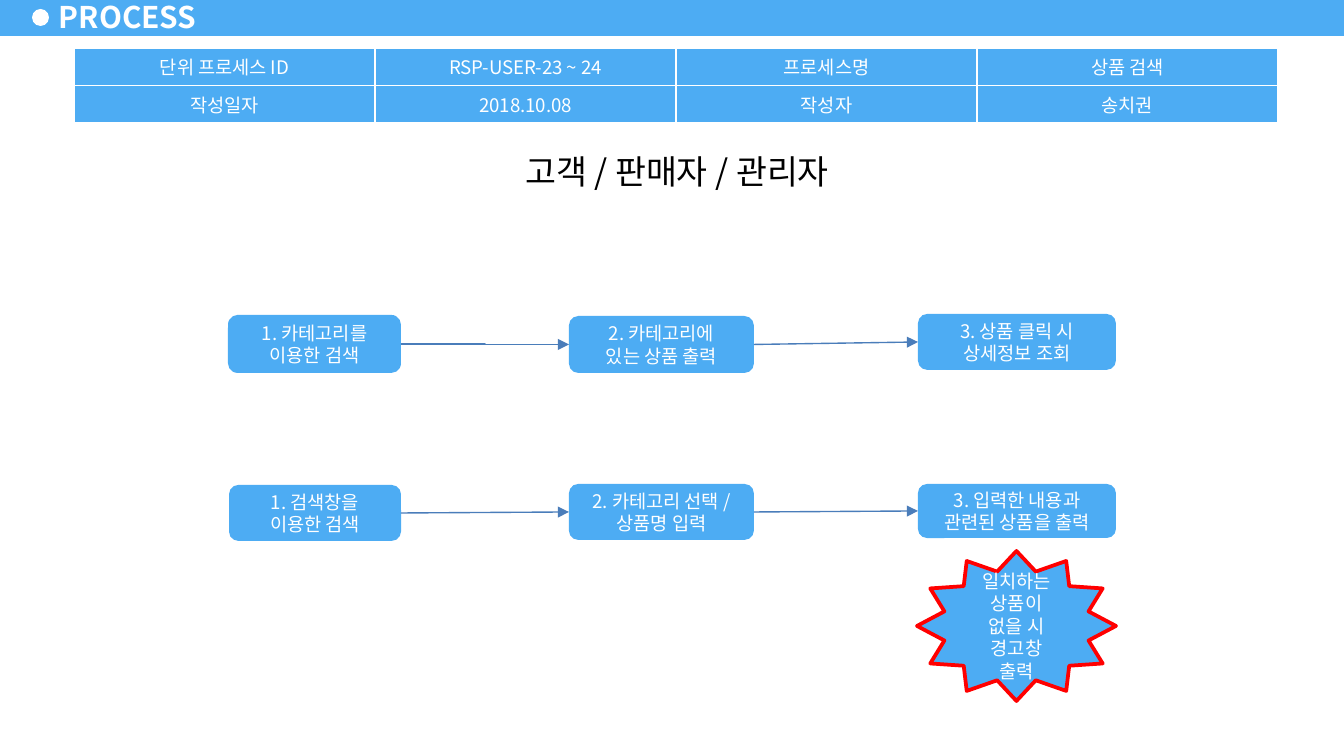
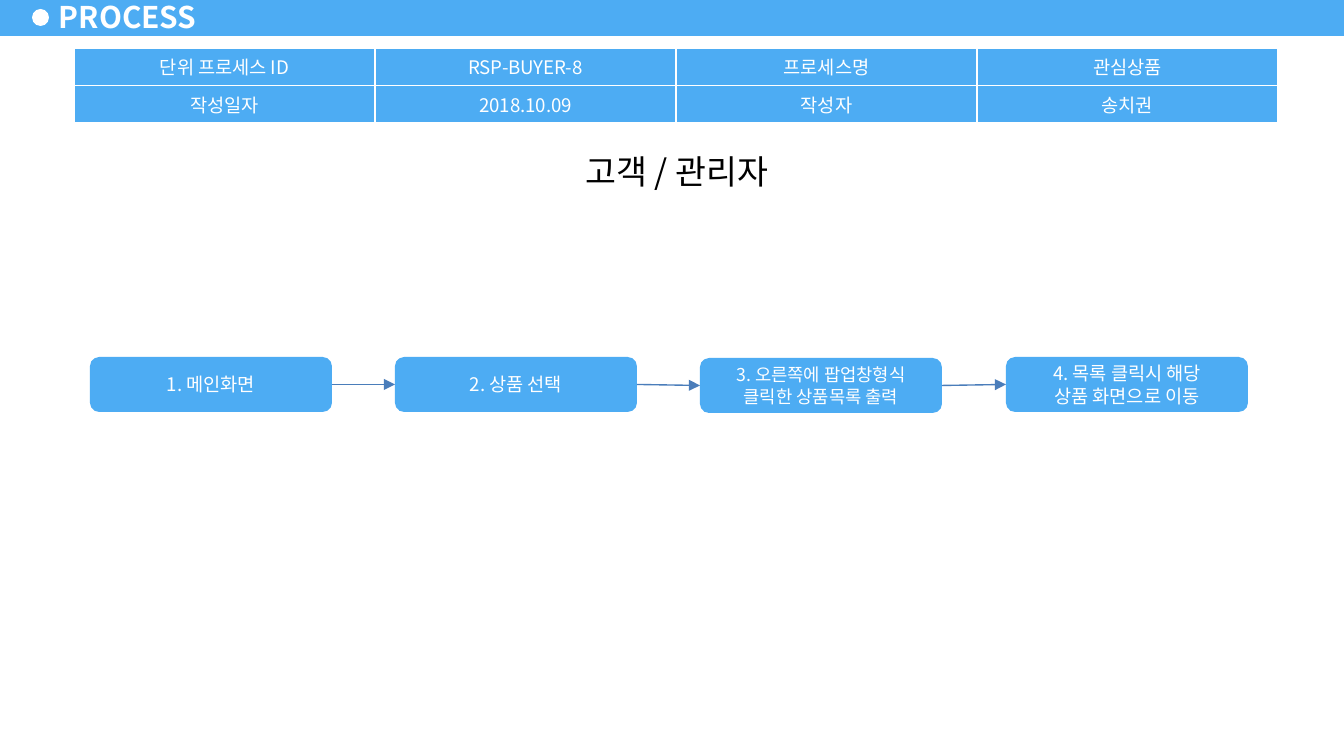
import pptx
import pptx.util
import pptx.dml.color
import pptx.enum.shapes
import pptx.enum.text
import pptx.oxml.ns
import lxml.etree

SCALE = 914400 / 134.4
FONT = "Noto Sans CJK KR"
BLUE = "4DACF3"
WHITE = "FFFFFF"
BLACK = "000000"
RED = "FF0000"
ARROW = "4A7DBA"
SHAPES = pptx.enum.shapes.MSO_SHAPE
CONNECTORS = pptx.enum.shapes.MSO_CONNECTOR
ALIGN = pptx.enum.text.PP_ALIGN
ANCHOR = pptx.enum.text.MSO_ANCHOR


def px(length):
    """Turn pixels into EMU."""
    return pptx.util.Emu(round(length * SCALE))


def color(value):
    """Turn a hex string into a colour."""
    return pptx.dml.color.RGBColor.from_string(value)


def add_element(parent, tag, **attributes):
    """Append a DrawingML element with attributes."""
    return lxml.etree.SubElement(parent, pptx.oxml.ns.qn(tag), attributes)


def write_text(text_frame, text, size, font_color=WHITE, align=ALIGN.CENTER, bold=False):
    """Fill a text frame and format all its runs."""
    text_frame.text = text
    for paragraph in text_frame.paragraphs:
        paragraph.alignment = align
        for run in paragraph.runs:
            run.font.size = pptx.util.Pt(size)
            run.font.bold = bold
            run.font.color.rgb = color(font_color)
            run.font.name = FONT
            add_element(run.font._element, "a:ea", typeface=FONT)


def add_block(slide, kind, left, top, width, height, fill=BLUE):
    """Add a filled preset shape without line or shadow."""
    shape = slide.shapes.add_shape(kind, px(left), px(top), px(width), px(height))
    shape.shadow.inherit = False
    shape.fill.solid()
    shape.fill.fore_color.rgb = color(fill)
    shape.line.fill.background()
    shape.text_frame.word_wrap = True
    return shape


def add_header(slide):
    """Add the top band with its dot and title."""
    add_block(slide, SHAPES.RECTANGLE, 0, -2, 1344, 38)
    add_block(slide, SHAPES.OVAL, 32, 9, 17, 17, WHITE)
    title = slide.shapes.add_textbox(px(47), px(-5), px(164), px(43))
    frame = title.text_frame
    frame.word_wrap = True
    frame.vertical_anchor = ANCHOR.MIDDLE
    frame.margin_left = px(12)
    frame.margin_right = 0
    frame.margin_top = frame.margin_bottom = px(6)
    write_text(frame, "PROCESS", 16, align=ALIGN.LEFT, bold=True)


def add_actors(slide, text):
    """Add the heading that names the actors."""
    shape = add_block(slide, SHAPES.RECTANGLE, 437, 144, 480, 55, WHITE)
    shape.text_frame.vertical_anchor = ANCHOR.TOP
    shape.text_frame.auto_size = pptx.enum.text.MSO_AUTO_SIZE.SHAPE_TO_FIT_TEXT
    write_text(shape.text_frame, text, 18, BLACK)


def format_cell(cell, text):
    """Give a table cell its text, white borders and blue fill."""
    cell.vertical_anchor = ANCHOR.MIDDLE
    cell.margin_top = cell.margin_bottom = px(5)
    write_text(cell.text_frame, text, 10)
    properties = cell._tc.get_or_add_tcPr()
    for side in ("a:lnL", "a:lnR", "a:lnT", "a:lnB"):
        border = add_element(properties, side, w=str(pptx.util.Pt(1)))
        add_element(add_element(border, "a:solidFill"), "a:srgbClr", val=WHITE)
    cell.fill.solid()
    cell.fill.fore_color.rgb = color(BLUE)


def add_summary(slide, identifier, name, date):
    """Add the table that describes the process."""
    rows = (
        ("단위 프로세스 ID", identifier, "프로세스명", name),
        ("작성일자", date, "작성자", "송치권"),
    )
    frame = slide.shapes.add_table(2, 4, px(74), px(48), px(1204), px(75))
    for row, texts in zip(frame.table.rows, rows):
        for cell, text in zip(row.cells, texts):
            format_cell(cell, text)


def add_arrow(slide, source, target, kind):
    """Join the right side of one step to the left side of the next."""
    connector = slide.shapes.add_connector(kind, 0, 0, 0, 0)
    connector.begin_connect(source, 3)
    connector.end_connect(target, 1)
    connector.line.color.rgb = color(ARROW)
    connector.line.width = pptx.util.Pt(0.75)
    add_element(connector.line._get_or_add_ln(), "a:tailEnd", type="triangle")
    add_element(connector._element.spPr, "a:effectLst")


def add_flow(slide, steps, first_arrow=CONNECTORS.STRAIGHT):
    """Add a row of steps and the arrows between them."""
    shapes = []
    for left, top, width, height, text, size in steps:
        shape = add_block(slide, SHAPES.ROUNDED_RECTANGLE, left, top, width, height)
        shape.text_frame.vertical_anchor = ANCHOR.MIDDLE
        write_text(shape.text_frame, text, size)
        shapes.append(shape)
    for index, (source, target) in enumerate(zip(shapes, shapes[1:])):
        add_arrow(slide, source, target, CONNECTORS.STRAIGHT if index else first_arrow)


def add_warning(slide, text):
    """Add the red-edged star with a warning."""
    star = add_block(slide, SHAPES.STAR_12_POINT, 917, 551, 199, 150)
    star.line.color.rgb = color(RED)
    star.line.width = pptx.util.Pt(2)
    star.text_frame.vertical_anchor = ANCHOR.MIDDLE
    write_text(star.text_frame, text, 10)


def add_process(presentation, actors, identifier, name, date):
    """Add a slide with the parts that every process shares."""
    slide = presentation.slides.add_slide(presentation.slide_layouts[6])
    add_header(slide)
    add_actors(slide, actors)
    add_summary(slide, identifier, name, date)
    return slide


def main():
    """Build both process slides."""
    presentation = pptx.Presentation()
    presentation.slide_width = px(1344)
    presentation.slide_height = px(756)

    search = add_process(
        presentation, "고객 / 판매자 / 관리자", "RSP-USER-23 ~ 24", "상품 검색", "2018.10.08"
    )
    add_flow(search, (
        (228, 315, 173, 58, "1. 카테고리를\v이용한 검색", 10),
        (569, 316, 185, 57, "2. 카테고리에\n있는 상품 출력", 10),
        (918, 314, 198, 56, "3. 상품 클릭 시\n상세정보 조회", 10),
    ), CONNECTORS.ELBOW)
    add_flow(search, (
        (229, 485, 172, 56, "1. 검색창을\v이용한 검색", 10),
        (569, 484, 185, 56, "2. 카테고리 선택 / 상품명 입력", 10),
        (918, 484, 198, 54, "3. 입력한 내용과\n관련된 상품을 출력", 10),
    ))
    add_warning(search, "일치하는\v상품이 없을 시\n경고창 출력")

    wishlist = add_process(
        presentation, "고객 / 관리자", "RSP-BUYER-8", "관심상품", "2018.10.09"
    )
    wishlist_steps = (
        (357, "1. 메인화면", 10),
        (357, "2. 상품 선택", 10),
        (358, "3. 오른쪽에 팝업창형식 클릭한 상품목록 출력", 9.5),
        (357, "4. 목록 클릭시 해당\n상품 화면으로 이동", 10),
    )
    add_flow(wishlist, [
        (90 + index * 916 // 3, top, 242, 55, text, size)
        for index, (top, text, size) in enumerate(wishlist_steps)
    ])
    presentation.save("out.pptx")


if __name__ == "__main__":
    main()
